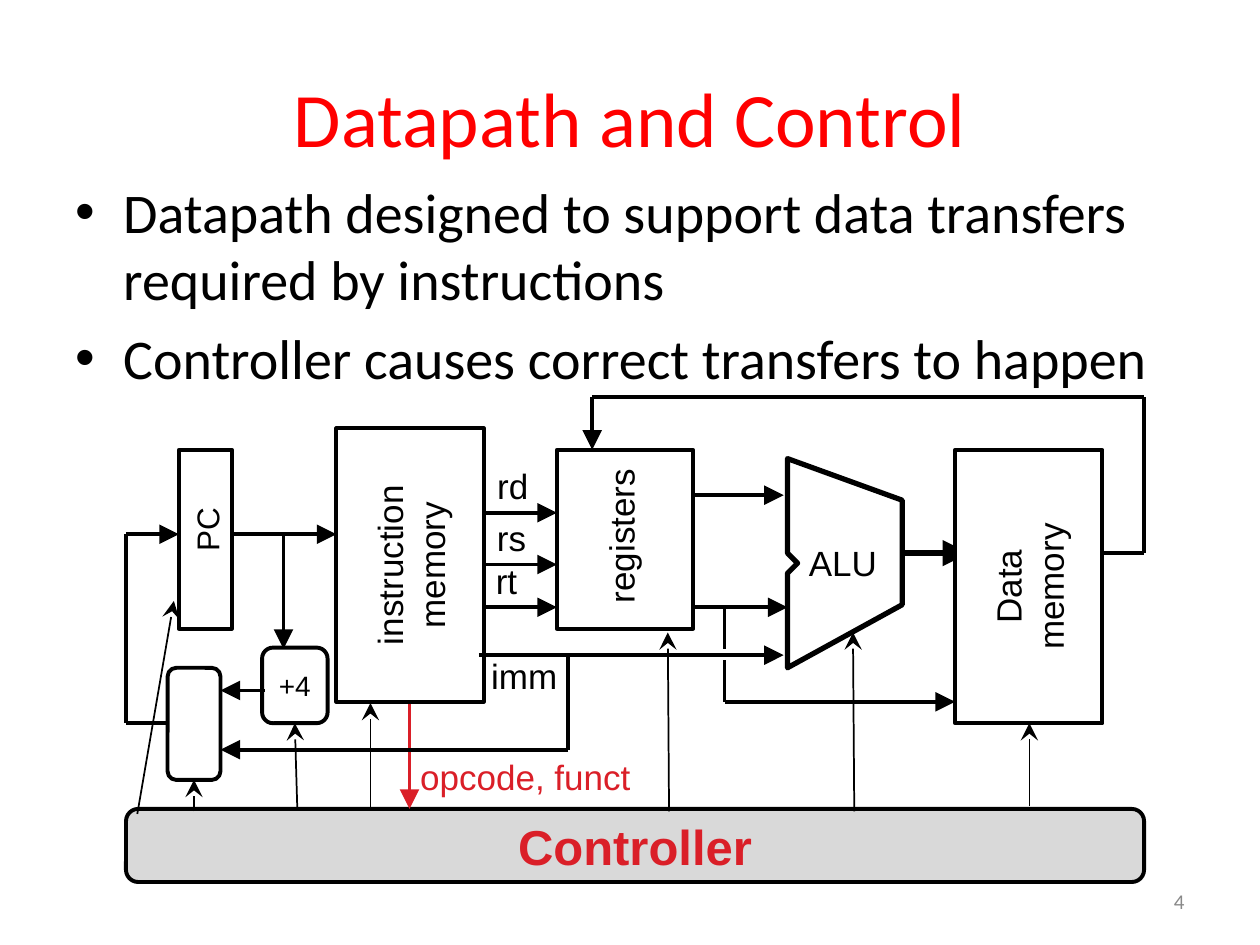
from itertools import pairwise

from pptx import Presentation
from pptx.dml.color import RGBColor
from pptx.enum.shapes import MSO_CONNECTOR, MSO_SHAPE
from pptx.enum.text import MSO_ANCHOR, PP_ALIGN
from pptx.oxml.ns import qn
from pptx.util import Inches, Pt
from lxml.etree import SubElement

BLACK = RGBColor(0x00, 0x00, 0x00)
WHITE = RGBColor(0xFF, 0xFF, 0xFF)
TITLE_RED = RGBColor(0xFF, 0x00, 0x00)
CONTROL_RED = RGBColor(0xDA, 0x1F, 0x28)
CONTROLLER_GRAY = RGBColor(0xD9, 0xD9, 0xD9)
NUMBER_GRAY = RGBColor(0x89, 0x89, 0x89)

DATA_WIRES = [
    [(0.33, 2.59), (0, 2.59), (0, 1.09), (0.42, 1.09)],
    [(0.83, 1.09), (1.67, 1.09)],
    [(1.25, 1.09), (1.25, 2)],
    [(1.1, 2.33), (0.75, 2.33)],
    [(2.8, 2.05), (5.22, 2.05)],
    [(3.51, 2.05), (3.51, 2.8), (0.75, 2.8)],
    [(4.5, 0.78), (5.22, 0.78)],
    [(4.5, 1.67), (5.25, 1.67)],
    [(4.75, 2.09), (4.75, 2.42), (6.58, 2.42)],
    [(7.75, 1.24), (8.08, 1.24), (8.08, 0), (3.7, 0), (3.7, 0.42)],
]
REGISTER_FIELDS = [("rd", 2.78, 0.49, 0.92), ("rs", 2.77, 0.9, 1.33), ("rt", 2.73, 1.24, 1.67)]
CONTROL_WIRES = [
    [(7.17, 3.25), (7.17, 2.59)],
    [(5.78, 3.29), (5.77, 1.87)],
    [(4.31, 3.29), (4.3, 1.87)],
    [(0.09, 3.31), (0.38, 1.62)],
    [(1.36, 3.28), (1.34, 2.59)],
    [(1.94, 3.28), (1.94, 2.43)],
    [(0.54, 3.29), (0.54, 3.04)],
]
ALU_OUTLINE = [(5.25, 0.49), (6.16, 0.82), (6.16, 1.65), (5.25, 2.15),
               (5.25, 1.4), (5.33, 1.32), (5.25, 1.24)]


def write_text(shape, text, size, color=BLACK, font="Arial", align=PP_ALIGN.CENTER,
               anchor=MSO_ANCHOR.MIDDLE, bold=False):
    """Fill a shape with uniformly formatted paragraphs."""
    frame = shape.text_frame
    frame.text = text
    frame.word_wrap = True
    frame.vertical_anchor = anchor
    for paragraph in frame.paragraphs:
        paragraph.alignment = align
        for run in paragraph.runs:
            run.font.name = font
            run.font.size = Pt(size)
            run.font.bold = bold
            run.font.color.rgb = color


def shifted(origin, box):
    """Move a box from diagram coordinates to slide coordinates."""
    left, top, width, height = box
    return origin[0] + left, origin[1] + top, width, height


def upright(box):
    """Give the unrotated frame that covers the box after a quarter turn."""
    left, top, width, height = box
    return left + (width - height) / 2, top + (height - width) / 2, height, width


def add_label(slide, box, text, size, vertical=False, **style):
    """Add a text box, optionally reading upwards."""
    frame = upright(box) if vertical else box
    label = slide.shapes.add_textbox(*map(Inches, frame))
    label.rotation = 270 if vertical else 0
    write_text(label, text, size, **style)
    return label


def add_block(slide, box, text="", size=20, preset=MSO_SHAPE.RECTANGLE, fill=WHITE,
              vertical=False, **style):
    """Add an outlined hardware block, optionally with upward text."""
    frame = upright(box) if vertical else box
    block = slide.shapes.add_shape(preset, *map(Inches, frame))
    block.rotation = 270 if vertical else 0
    block.shadow.inherit = False
    block.fill.solid()
    block.fill.fore_color.rgb = fill
    block.line.color.rgb = BLACK
    block.line.width = Pt(2.25)
    if text:
        write_text(block, text, size, **style)


def add_wire(slide, origin, points, width=2.25, color=BLACK, head="triangle"):
    """Add connected line segments with an arrowhead on the last one."""
    corners = [(Inches(origin[0] + x), Inches(origin[1] + y)) for x, y in points]
    for start, end in pairwise(corners):
        segment = slide.shapes.add_connector(MSO_CONNECTOR.STRAIGHT, *start, *end)
        segment.line.color.rgb = color
        segment.line.width = Pt(width)
        properties = segment._element.spPr
        if head and end == corners[-1]:
            SubElement(properties.find(qn("a:ln")), qn("a:tailEnd"), type=head, w="lg", len="lg")
        SubElement(properties, qn("a:effectLst"))


def add_title(slide, box):
    """Add the slide title."""
    add_label(slide, box, "Datapath and Control", 44, color=TITLE_RED, font="Calibri")


def add_bullets(slide, box):
    """Add the two bulleted statements."""
    bullets = slide.shapes.add_textbox(*map(Inches, box))
    text = ("Datapath designed to support data transfers required by instructions\n"
            "Controller causes correct transfers to happen")
    write_text(bullets, text, 32, font="Calibri", align=PP_ALIGN.LEFT, anchor=MSO_ANCHOR.TOP)
    for index, paragraph in enumerate(bullets.text_frame.paragraphs):
        paragraph.space_before = Pt(6.4 if index else 0)
        properties = paragraph._p.get_or_add_pPr()
        properties.set("marL", str(Inches(0.38)))
        properties.set("indent", str(Inches(-0.38)))
        SubElement(properties, qn("a:buFont"), typeface="Arial")
        SubElement(properties, qn("a:buChar"), char="•")


def add_alu(slide, origin):
    """Add the notched arithmetic unit with its output arrow and label."""
    corners = [(Inches(origin[0] + x), Inches(origin[1] + y)) for x, y in ALU_OUTLINE]
    builder = slide.shapes.build_freeform(*corners[0])
    builder.add_line_segments(corners[1:], close=True)
    alu = builder.convert_to_shape()
    alu.shadow.inherit = False
    alu.fill.background()
    alu.line.color.rgb = BLACK
    alu.line.width = Pt(3)
    add_wire(slide, origin, [(6.17, 1.24), (6.69, 1.24)], width=3)
    add_label(slide, shifted(origin, (5.17, 1.1, 1.04, 0.52)), "ALU", 20, anchor=MSO_ANCHOR.TOP)


def add_controller(slide, origin):
    """Add the controller bar and its instruction input."""
    add_block(slide, shifted(origin, (0, 3.27, 8.08, 0.58)), "Controller", 28,
              MSO_SHAPE.ROUNDED_RECTANGLE, CONTROLLER_GRAY, color=CONTROL_RED, bold=True)
    add_wire(slide, origin, [(2.25, 2.43), (2.25, 3.27)], color=CONTROL_RED)
    add_label(slide, shifted(origin, (2.13, 2.75, 2.08, 0.52)), "opcode, funct", 20,
              color=CONTROL_RED)


def add_datapath(slide, box):
    """Add the processor diagram inside the box."""
    origin = box[:2]
    rounded = MSO_SHAPE.ROUNDED_RECTANGLE
    add_controller(slide, origin)
    add_alu(slide, origin)
    add_block(slide, shifted(origin, (0.42, 0.42, 0.42, 1.42)))
    add_block(slide, shifted(origin, (1.67, 0.25, 1.17, 2.17)), "instruction\nmemory",
              vertical=True)
    add_block(slide, shifted(origin, (1.08, 1.99, 0.52, 0.6)), "+4", 16, rounded)
    add_block(slide, shifted(origin, (0.33, 2.15, 0.42, 0.89)), preset=rounded)
    add_block(slide, shifted(origin, (3.42, 0.42, 1.08, 1.42)))
    add_block(slide, shifted(origin, (6.58, 0.42, 1.17, 2.17)), "Data\nmemory", vertical=True)
    add_label(slide, shifted(origin, (0.44, 0.78, 0.4, 0.55)), "PC", 18, vertical=True)
    add_label(slide, shifted(origin, (3.71, 0.39, 0.43, 1.43)), "registers", 20, vertical=True)
    add_label(slide, shifted(origin, (2.7, 2, 0.92, 0.43)), "imm", 20)
    for name, left, top, wire in REGISTER_FIELDS:
        add_wire(slide, origin, [(2.83, wire), (3.42, wire)])
        add_label(slide, shifted(origin, (left, top, 0.58, 0.43)), name, 20)
    for points in DATA_WIRES:
        add_wire(slide, origin, points)
    add_wire(slide, origin, [(4.75, 1.67), (4.75, 2)], head=None)
    for points in CONTROL_WIRES:
        add_wire(slide, origin, points, width=1, head="stealth")


def add_slide_number(slide, box):
    """Add the slide number at the lower right."""
    add_label(slide, box, "4", 12, color=NUMBER_GRAY, font="Calibri", align=PP_ALIGN.RIGHT)


def main():
    """Build and save the presentation."""
    presentation = Presentation()
    presentation.slide_width = Inches(10)
    presentation.slide_height = Inches(7.5)
    slide = presentation.slides.add_slide(presentation.slide_layouts[6])
    add_title(slide, (0.5, 0.3, 9, 1.25))
    add_bullets(slide, (0.5, 1.36, 9, 1.79))
    add_datapath(slide, (1, 3.15, 8.08, 3.85))
    add_slide_number(slide, (7.17, 6.95, 2.33, 0.4))
    presentation.save("out.pptx")


if __name__ == "__main__":
    main()
